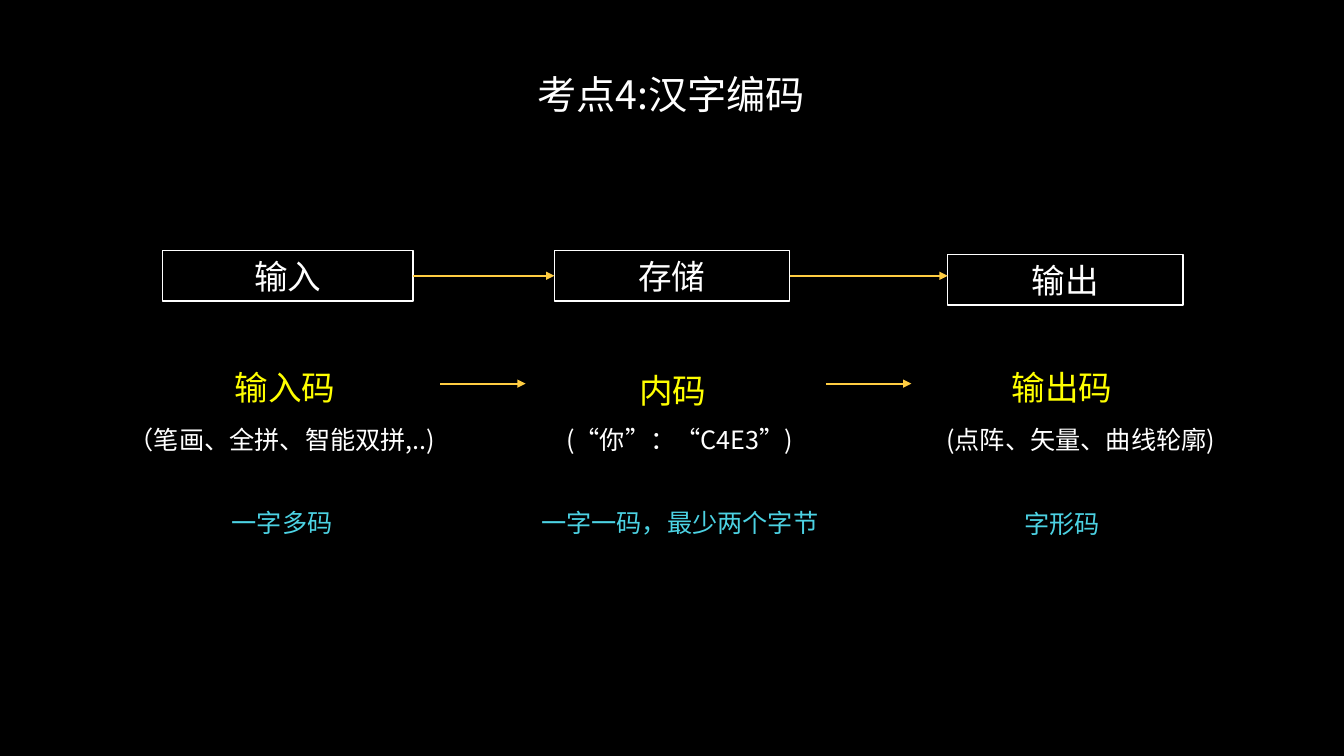
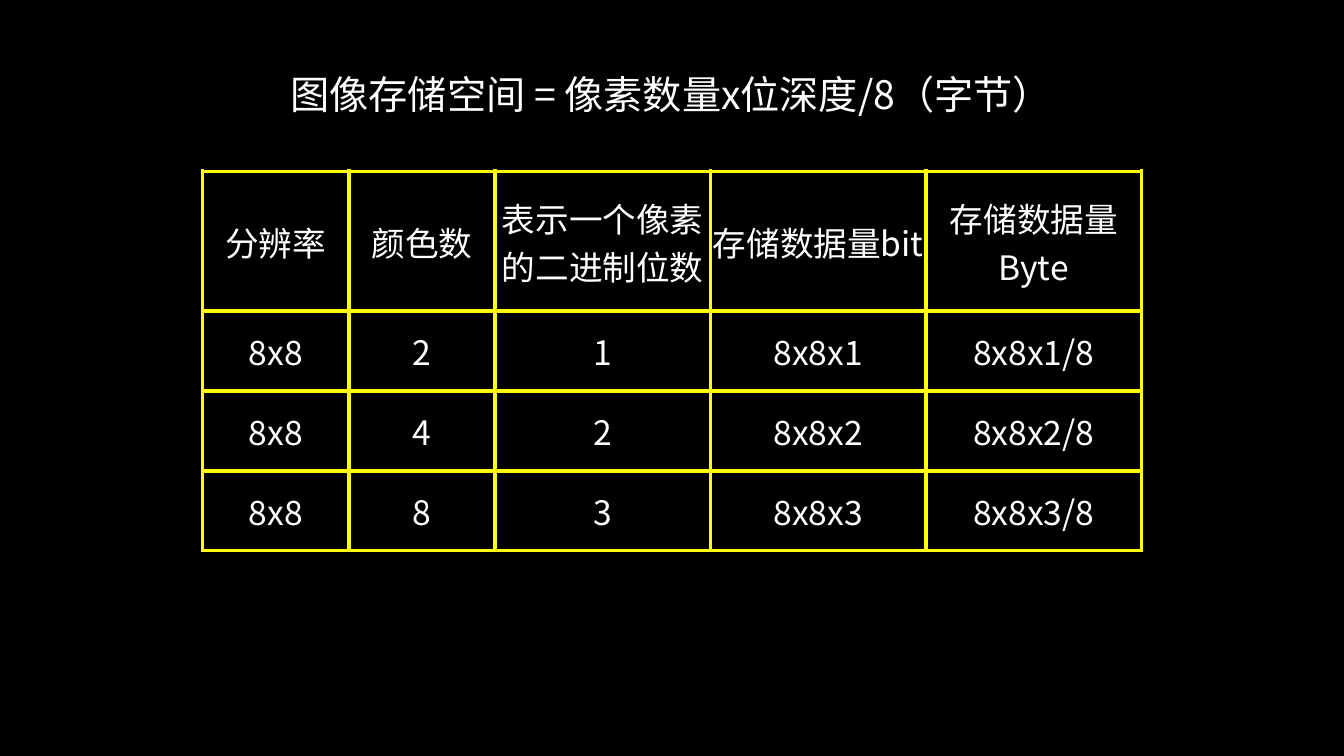
from collections import namedtuple

from lxml.etree import SubElement
from pptx import Presentation
from pptx.dml.color import RGBColor
from pptx.enum.shapes import MSO_CONNECTOR, MSO_SHAPE
from pptx.enum.text import MSO_ANCHOR, MSO_AUTO_SIZE, PP_ALIGN
from pptx.oxml import parse_xml
from pptx.oxml.ns import nsdecls, qn
from pptx.util import Pt

BLACK = RGBColor(0x00, 0x00, 0x00)
WHITE = RGBColor(0xFF, 0xFF, 0xFF)
YELLOW = RGBColor(0xFF, 0xFF, 0x00)
AMBER = RGBColor(0xFF, 0xCD, 0x42)
CYAN = RGBColor(0x4C, 0xD2, 0xE3)
FONT = "Noto Sans CJK SC"

Box = namedtuple("Box", "left top width height")
Label = namedtuple("Label", "text dx dy width", defaults=(0, 0, 273))
Stage = namedtuple("Stage", "left step step_box code example note")

STAGES = [
    Stage(59, "输入", Box(57, 0, 179, 36), Label("输入码", 2),
          Label("（笔画、全拼、智能双拼,..)"), Label("一字多码")),
    Stage(343, "存储", Box(53, 0, 168, 36), Label("内码", -5, 2),
          Label("(“你”：“C4E3”)"), Label("一字一码，最少两个字节")),
    Stage(616, "输出", Box(61, 3, 168, 36), Label("输出码"),
          Label("(点阵、矢量、曲线轮廓)", 4, 0, 292), Label("字形码", 0, 1)),
]

STORAGE_HEADER = ["分辨率", "颜色数", "表示一个像素的二进制位数",
                  "存储数据量bit", "存储数据量Byte"]
STORAGE_ROWS = [["8x8", str(2 ** bits), str(bits), f"8x8x{bits}", f"8x8x{bits}/8"]
                for bits in (1, 2, 3)]


def write(frame, text, size=24, color=WHITE, spacing=None, indent=None):
    """Put one centred paragraph into a text frame."""
    frame.word_wrap = True
    paragraph = frame.paragraphs[0]
    paragraph.alignment = PP_ALIGN.CENTER
    if spacing:
        paragraph.line_spacing = spacing
    if indent:
        properties = paragraph._p.get_or_add_pPr()
        properties.set("marL", str(Pt(indent)))
        properties.set("indent", "0")
    run = paragraph.add_run()
    run.text = text
    run.font.size = Pt(size)
    run.font.name = FONT
    run.font.color.rgb = color
    SubElement(run._r.get_or_add_rPr(), qn("a:ea")).set("typeface", FONT)


def style_layout(layout):
    """Give the layout its black ground and its title position."""
    layout.background.fill.solid()
    layout.background.fill.fore_color.rgb = BLACK
    title = layout.placeholders[0]
    title.left, title.top, title.width, title.height = map(Pt, (32.4, 46.8, 894, 60.5))
    frame = title.text_frame
    frame.vertical_anchor = MSO_ANCHOR.TOP
    frame.margin_left = frame.margin_right = Pt(7.2)
    frame.margin_top = frame.margin_bottom = Pt(7.2)


def add_titled_slide(deck, layout, title):
    slide = deck.slides.add_slide(layout)
    write(slide.shapes.title.text_frame, title, size=28, spacing=0.9)
    return slide


def add_label(slide, label, left, top, height, **style):
    box = slide.shapes.add_textbox(Pt(left + label.dx), Pt(top + label.dy),
                                   Pt(label.width), Pt(height))
    write(box.text_frame, label.text, spacing=1.15, indent=12, **style)
    box.text_frame.auto_size = MSO_AUTO_SIZE.SHAPE_TO_FIT_TEXT


def add_arrow(slide, start, end, y):
    """Draw a level arrow; start, end and y are lengths."""
    arrow = slide.shapes.add_connector(MSO_CONNECTOR.STRAIGHT, start, y, end, y)
    arrow.line.color.rgb = AMBER
    arrow.line.width = Pt(1.5)
    SubElement(arrow.line._get_or_add_ln(), qn("a:tailEnd")).set("type", "triangle")
    SubElement(arrow._element.spPr, qn("a:effectLst"))
    return arrow


def add_stage(slide, stage, top):
    """Draw one column of the coding flow and return its step rectangle."""
    left, box = stage.left, stage.step_box
    step = slide.shapes.add_shape(MSO_SHAPE.RECTANGLE, Pt(left + box.left),
                                  Pt(top + box.top), Pt(box.width), Pt(box.height))
    step.shadow.inherit = False
    step.fill.background()
    step.line.color.rgb = WHITE
    step.line.width = Pt(1)
    write(step.text_frame, stage.step)
    step.text_frame.vertical_anchor = MSO_ANCHOR.MIDDLE
    add_label(slide, stage.code, left, top + 75, 38, color=YELLOW)
    add_label(slide, stage.example, left, top + 117.5, 29, size=18)
    add_label(slide, stage.note, left, top + 176.5, 29, size=18, color=CYAN)
    return step


def add_coding_flow(slide, top):
    entry, store, output = [add_stage(slide, stage, top) for stage in STAGES]
    middle = store.top + store.height // 2
    to_store = add_arrow(slide, entry.left + entry.width, store.left, middle)
    to_store.begin_connect(entry, 3)
    to_store.end_connect(store, 1)
    to_output = add_arrow(slide, store.left + store.width, output.left, middle)
    to_output.begin_connect(store, 3)
    for start in (314.5, 590):
        add_arrow(slide, Pt(start), Pt(start + 61), Pt(top + 95))


def format_cell(cell, text, margins):
    cell.margin_left = cell.margin_right = Pt(margins[0])
    cell.margin_top, cell.margin_bottom = Pt(margins[1]), Pt(0)
    cell.vertical_anchor = MSO_ANCHOR.MIDDLE
    write(cell.text_frame, text)
    cell.fill.background()
    properties = cell._tc.get_or_add_tcPr()
    for position, side in enumerate(("lnL", "lnR", "lnT", "lnB")):
        properties.insert(position, parse_xml(
            f'<a:{side} {nsdecls("a")} w="{Pt(3)}"><a:solidFill>'
            f'<a:srgbClr val="{YELLOW}"/></a:solidFill></a:{side}>'))


def add_storage_table(slide, left, top):
    widths, heights = [104.4, 104.4, 154, 154, 154], [100, 57, 57, 57]
    table = slide.shapes.add_table(len(heights), len(widths), Pt(left), Pt(top),
                                   Pt(sum(widths)), Pt(sum(heights))).table
    table.first_row = table.horz_banding = False
    for column, width in zip(table.columns, widths):
        column.width = Pt(width)
    for row, height, texts in zip(table.rows, heights, [STORAGE_HEADER] + STORAGE_ROWS):
        row.height = Pt(height)
        margins = (0.75, 0.75) if texts is STORAGE_HEADER else (5, 0)
        for cell, text in zip(row.cells, texts):
            format_cell(cell, text, margins)


def main():
    deck = Presentation()
    deck.slide_width, deck.slide_height = Pt(960), Pt(540)
    layout = deck.slide_layouts[5]
    style_layout(layout)
    add_coding_flow(add_titled_slide(deck, layout, "考点4:汉字编码"), top=179)
    storage = add_titled_slide(deck, layout, "图像存储空间 = 像素数量x位深度/8（字节）")
    add_storage_table(storage, left=144.7, top=122.4)
    deck.save("out.pptx")


if __name__ == "__main__":
    main()
